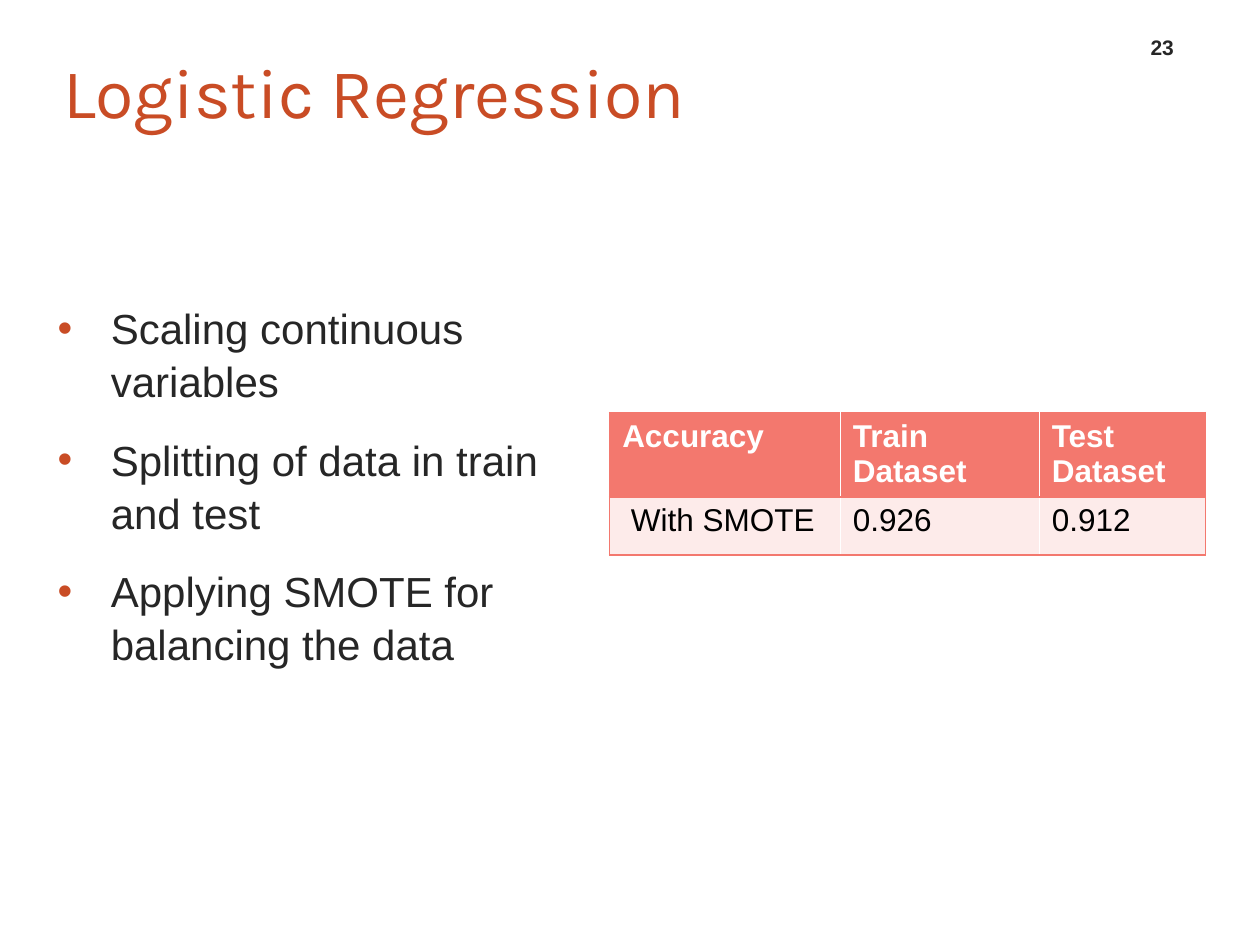
from lxml import etree
from pptx import Presentation
from pptx.dml.color import RGBColor
from pptx.enum import text as t
from pptx.oxml import ns
from pptx.util import Cm, Pt

TITLE = "Logistic Regression"
NUMBER = "23"
STEPS = [
    "Scaling continuous variables",
    "Splitting of data in train and test",
    "Applying SMOTE for balancing the data",
]
SCORES = [
    ["Accuracy", "Train Dataset", "Test Dataset"],
    [" With SMOTE", "0.926", "0.912"],
]
WIDTHS = [4.65, 4.01, 3.35]
HEIGHTS = [1.7, 1.17]
RUST, INK, CORAL, BLUSH = "C94C25", "262626", "F3786E", "FDEBEA"


def color(code):
    return RGBColor.from_string(code)


def place(shape, left, top, width, height):
    shape.left, shape.top = Cm(left), Cm(top)
    shape.width, shape.height = Cm(width), Cm(height)


def write(para, words, size, code, bold=False, face="Arial"):
    run = para.add_run()
    run.text = words
    font = run.font
    font.name, font.size, font.bold = face, Pt(size), bold
    font.color.rgb = color(code)


def child(parent, tag, **attrs):
    return etree.SubElement(parent, ns.qn(tag), attrs)


def bullet(para, code):
    """Give a paragraph a coloured dot and a hanging indent."""
    props = para._p.get_or_add_pPr()
    props.set("marL", str(Cm(1.24)))
    props.set("indent", str(Cm(-1.07)))
    child(child(props, "a:buClr"), "a:srgbClr", val=code)
    child(props, "a:buFont", typeface="Arial")
    child(props, "a:buChar", char="•")


def border(cell, sides, code):
    """Draw 1 pt lines on the sides given, placed before the cell fill."""
    props = cell._tc.get_or_add_tcPr()
    for i, side in enumerate(sides):
        line = child(props, "a:ln" + side, w=str(Pt(1)))
        child(child(line, "a:solidFill"), "a:srgbClr", val=code)
        props.insert(i, line)


deck = Presentation()
deck.slide_width, deck.slide_height = Cm(25.4), Cm(19.05)
slide = deck.slides.add_slide(deck.slide_layouts[1])
title, body = slide.placeholders

place(title, 1.27, 0.89, 12.88, 1.88)
frame = title.text_frame
frame.auto_size = t.MSO_AUTO_SIZE.NONE
frame.word_wrap = False
frame.margin_left = frame.margin_right = 0
frame.vertical_anchor = t.MSO_ANCHOR.MIDDLE
frame.paragraphs[0].alignment = t.PP_ALIGN.LEFT
write(frame.paragraphs[0], TITLE, 40, RUST, face="Karla")

place(body, 0.74, 4.32, 11.23, 12.57)
frame = body.text_frame
frame.auto_size = t.MSO_AUTO_SIZE.NONE
frame.margin_top = Cm(1.73)
for i, step in enumerate(STEPS):
    para = frame.add_paragraph() if i else frame.paragraphs[0]
    para.line_spacing = 1.05
    para.space_before = Pt(14.8 if i else 0)
    bullet(para, RUST)
    write(para, step, 24, INK)

table = slide.shapes.add_table(
    len(HEIGHTS), len(WIDTHS), Cm(12.29), Cm(8.32), Cm(sum(WIDTHS)), Cm(sum(HEIGHTS))
).table
for col, width in zip(table.columns, WIDTHS):
    col.width = Cm(width)
for r, (row, height) in enumerate(zip(SCORES, HEIGHTS)):
    table.rows[r].height = Cm(height)
    head = r == 0
    for c, words in enumerate(row):
        cell = table.cell(r, c)
        cell.fill.solid()
        cell.fill.fore_color.rgb = color(CORAL if head else BLUSH)
        left = ["L"] if c == 0 else []
        right = ["R"] if c == len(row) - 1 else []
        border(cell, left + right + ["T", "B"], CORAL)
        write(cell.text_frame.paragraphs[0], words, 18,
              "FFFFFF" if head else "000000", head)

box = slide.shapes.add_textbox(Cm(22.73), Cm(0.48), Cm(1.4), Cm(0.84))
frame = box.text_frame
frame.word_wrap = True
frame.vertical_anchor = t.MSO_ANCHOR.BOTTOM
frame.paragraphs[0].alignment = t.PP_ALIGN.CENTER
write(frame.paragraphs[0], NUMBER, 12, INK, True)

deck.save("out.pptx")
